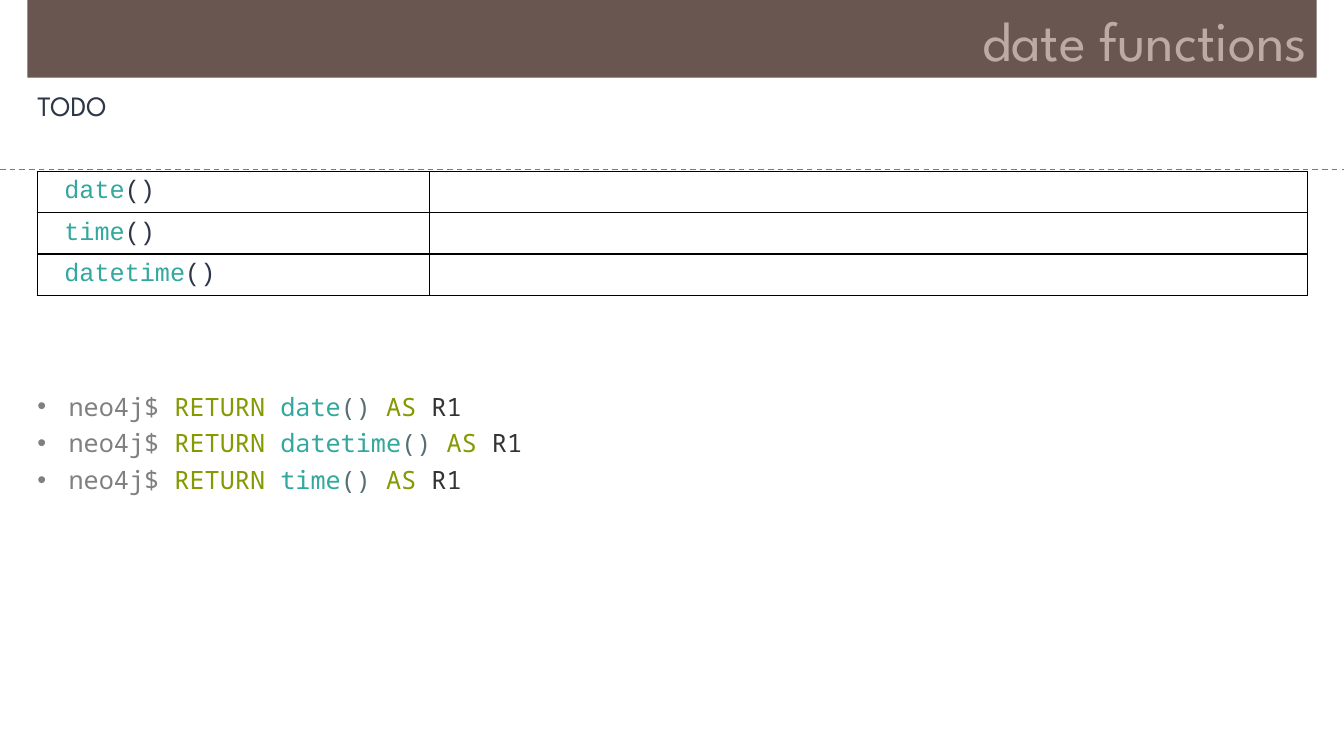
from lxml.etree import SubElement
from pptx import Presentation
from pptx.dml.color import RGBColor
from pptx.enum.dml import MSO_LINE
from pptx.enum.shapes import MSO_CONNECTOR, MSO_SHAPE
from pptx.enum.text import MSO_ANCHOR, PP_ALIGN
from pptx.oxml.ns import qn
from pptx.util import Cm, Pt

TITLE = "date functions"
NOTE = "TODO"
TABLE_FUNCTIONS = ["date", "time", "datetime"]
COMMAND_FUNCTIONS = ["date", "datetime", "time"]

HEADING_FONT = "League Spartan"
TABLE_FONT = "Courier New"
COMMAND_FONT = "Noto Sans Mono"
INK, TEAL, OLIVE = "2D3748", "32A89E", "859900"

SLIDE_WIDTH, SLIDE_HEIGHT = 33.87, 19.05
LEFT, WIDTH = 0.69, 32.49
RULE_TOP = 4.27
COLUMN_WIDTHS = [9.88, 22.12]
ROW_HEIGHT = 1.04
BULLET_INDENT = 0.79


def color(hex_code):
    return RGBColor.from_string(hex_code)


def add_run(paragraph, text, font=HEADING_FONT, size=18, fill=INK):
    run = paragraph.add_run()
    run.text = text
    run.font.name = font
    run.font.size = Pt(size)
    run.font.color.rgb = color(fill)


def add_text_box(slide, top, height):
    box = slide.shapes.add_textbox(Cm(LEFT), Cm(top), Cm(WIDTH), Cm(height))
    box.text_frame.word_wrap = True
    return box.text_frame


def add_bullet(paragraph):
    properties = paragraph._p.get_or_add_pPr()
    properties.set("marL", str(Cm(BULLET_INDENT)))
    properties.set("indent", str(-Cm(BULLET_INDENT)))
    SubElement(properties, qn("a:buFont")).set("typeface", "Arial")
    SubElement(properties, qn("a:buChar")).set("char", "•")


def add_borders(cell):
    properties = cell._tc.get_or_add_tcPr()
    for position, side in enumerate(("a:lnL", "a:lnR", "a:lnT", "a:lnB")):
        border = properties.makeelement(qn(side), {"w": str(Pt(1))})
        properties.insert(position, border)
        fill = SubElement(border, qn("a:solidFill"))
        SubElement(fill, qn("a:srgbClr")).set("val", "000000")


def add_header(slide):
    header = slide.shapes.add_shape(
        MSO_SHAPE.RECTANGLE, Cm(LEFT), Cm(0), Cm(WIDTH), Cm(1.96))
    header.shadow.inherit = False
    header.fill.solid()
    header.fill.fore_color.rgb = color("6A5650")
    header.line.fill.background()
    header.text_frame.word_wrap = True
    header.text_frame.vertical_anchor = MSO_ANCHOR.MIDDLE
    paragraph = header.text_frame.paragraphs[0]
    paragraph.alignment = PP_ALIGN.RIGHT
    add_run(paragraph, TITLE, size=40, fill="BCABA5")


def add_rule(slide):
    rule = slide.shapes.add_connector(
        MSO_CONNECTOR.STRAIGHT, Cm(0), Cm(RULE_TOP), Cm(SLIDE_WIDTH), Cm(RULE_TOP))
    rule.line.color.rgb = color("6E78A0")
    rule.line.width = Pt(1)
    rule.line.dash_style = MSO_LINE.DASH
    SubElement(rule._element.spPr, qn("a:effectLst"))


def add_commands(slide):
    frame = add_text_box(slide, 9.73, 2.9)
    for index, function in enumerate(COMMAND_FUNCTIONS):
        paragraph = frame.paragraphs[0] if index == 0 else frame.add_paragraph()
        add_bullet(paragraph)
        if index:
            paragraph.line_spacing = Pt(26.1)
        for text, fill in [("neo4j$ ", "808080"), ("RETURN ", OLIVE), (function, TEAL),
                           ("() ", "586E75"), ("AS ", OLIVE), ("R1", "333333")]:
            add_run(paragraph, text, font=COMMAND_FONT, fill=fill)


def add_function_table(slide):
    table = slide.shapes.add_table(
        len(TABLE_FUNCTIONS), len(COLUMN_WIDTHS), Cm(0.94), Cm(4.32),
        Cm(sum(COLUMN_WIDTHS)), Cm(ROW_HEIGHT * len(TABLE_FUNCTIONS))).table
    table.first_row = table.horz_banding = False
    for column, width in zip(table.columns, COLUMN_WIDTHS):
        column.width = Cm(width)
    for row, function in zip(table.rows, TABLE_FUNCTIONS):
        row.height = Cm(ROW_HEIGHT)
        for cell in row.cells:
            cell.fill.background()
            cell.vertical_anchor = MSO_ANCHOR.MIDDLE
            add_borders(cell)
        name_cell = row.cells[0]
        name_cell.margin_left = Cm(0.68)
        paragraph = name_cell.text_frame.paragraphs[0]
        add_run(paragraph, function, font=TABLE_FONT, fill=TEAL)
        add_run(paragraph, "()", font=TABLE_FONT)


def main():
    presentation = Presentation()
    presentation.slide_width = Cm(SLIDE_WIDTH)
    presentation.slide_height = Cm(SLIDE_HEIGHT)
    slide = presentation.slides.add_slide(presentation.slide_layouts[6])
    note = add_text_box(slide, 2.11, 1.12).paragraphs[0]
    note.alignment = PP_ALIGN.JUSTIFY
    add_run(note, NOTE, size=20)
    add_header(slide)
    add_rule(slide)
    add_commands(slide)
    add_function_table(slide)
    presentation.save("out.pptx")


if __name__ == "__main__":
    main()
